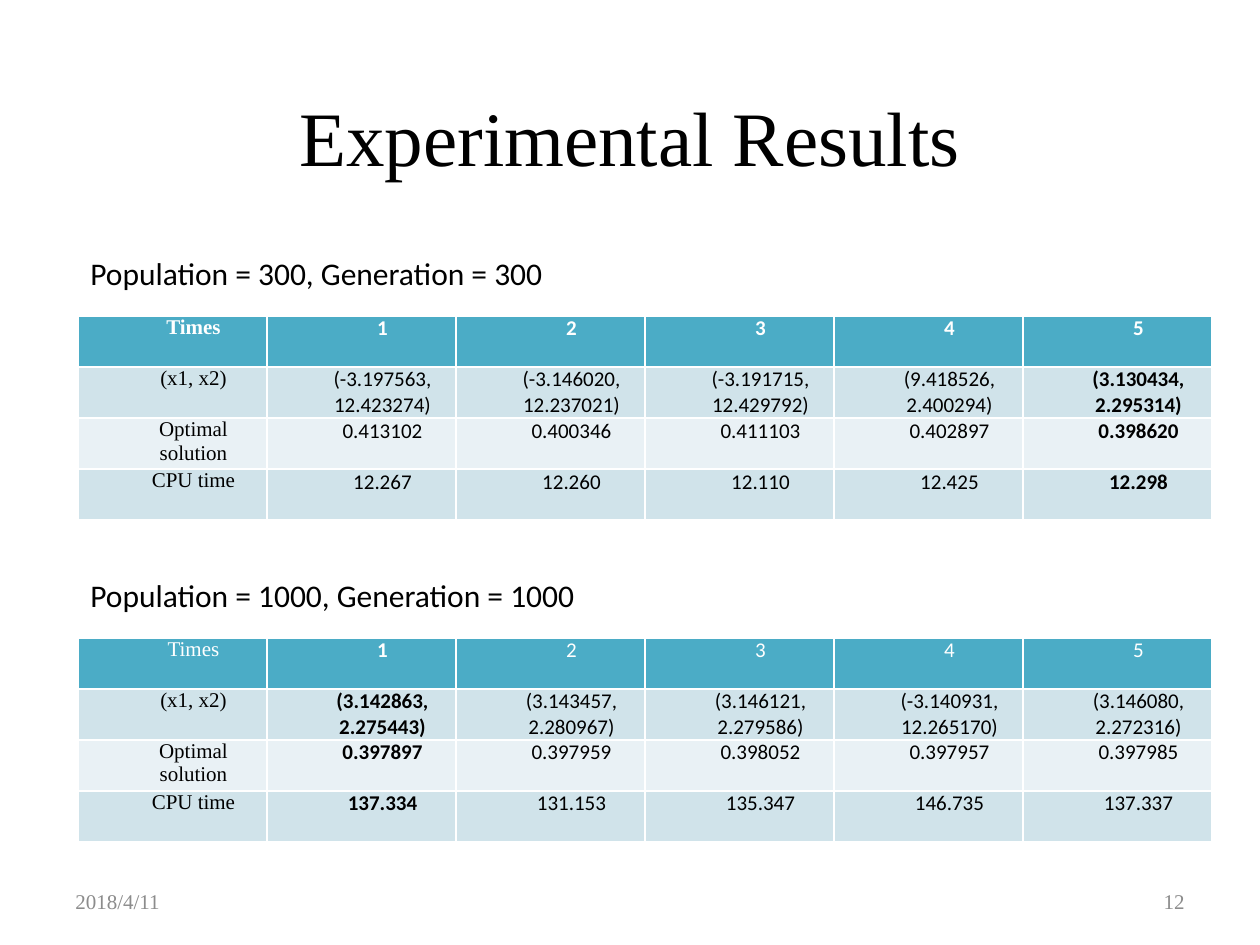
"""Build the Experimental Results slide with two tables of runs."""
from pptx import Presentation
from pptx.dml.color import RGBColor
from pptx.enum.text import MSO_ANCHOR, PP_ALIGN
from pptx.util import Emu, Pt

LEFT, CENTER, RIGHT = PP_ALIGN.LEFT, PP_ALIGN.CENTER, PP_ALIGN.RIGHT
TOP, MIDDLE = MSO_ANCHOR.TOP, MSO_ANCHOR.MIDDLE
SERIF, SANS = "Times New Roman", "Calibri"
COLORS = {
    "text": "000000",
    "footer": "8C8C8C",
    "header_text": "FFFFFF",
    "header": "4BACC6",
    "odd": "D0E3EA",
    "even": "E9F1F5",
}

TITLE = "Experimental Results"
HEADER = ["Times", "1", "2", "3", "4", "5"]
EXPERIMENTS = [
    {
        "caption": "Population = 300, Generation = 300",
        "best": 5,
        "bold_header": True,
        "rows": [
            ["(x1, x2)", "(-3.197563, 12.423274)", "(-3.146020, 12.237021)",
             "(-3.191715, 12.429792)", "(9.418526, 2.400294)", "(3.130434, 2.295314)"],
            ["Optimal solution", "0.413102", "0.400346", "0.411103", "0.402897", "0.398620"],
            ["CPU time", "12.267", "12.260", "12.110", "12.425", "12.298"],
        ],
    },
    {
        "caption": "Population = 1000, Generation = 1000",
        "best": 1,
        "bold_header": False,
        "rows": [
            ["(x1, x2)", "(3.142863, 2.275443)", "(3.143457, 2.280967)",
             "(3.146121, 2.279586)", "(-3.140931, 12.265170)", "(3.146080, 2.272316)"],
            ["Optimal solution", "0.397897", "0.397959", "0.398052", "0.397957", "0.397985"],
            ["CPU time", "137.334", "131.153", "135.347", "146.735", "137.337"],
        ],
    },
]
FOOTERS = [("2018/4/11", 63, LEFT), ("12", 903, RIGHT)]

EMU_PER_PX = 914400 / 126
BLOCK_LEFT, BLOCK_TOP, BLOCK_STEP = 78, 248, 322
CAPTION_TO_TABLE = 68
COLUMN_WIDTH, ROW_HEIGHT = 189, 51
CELL_MARGIN, CELL_INDENT = 9, 42


def px(length):
    return Emu(round(length * EMU_PER_PX))


def style_text(text_frame, font_name, size, color, align, bold=False):
    paragraph = text_frame.paragraphs[0]
    paragraph.alignment = align
    font = paragraph.runs[0].font
    font.name, font.size, font.bold = font_name, Pt(size), bold
    font.color.rgb = RGBColor.from_string(COLORS[color])
    return paragraph


def add_text(slide, text, box, font_name, size, color, align, anchor):
    text_frame = slide.shapes.add_textbox(*map(px, box)).text_frame
    text_frame.word_wrap = True
    text_frame.vertical_anchor = anchor
    text_frame.text = text
    style_text(text_frame, font_name, size, color, align)


def fill_cell(cell, text, font_name, color, background, bold):
    cell.fill.solid()
    cell.fill.fore_color.rgb = RGBColor.from_string(COLORS[background])
    cell.margin_left = cell.margin_right = px(CELL_MARGIN)
    cell.margin_top = cell.margin_bottom = 0
    cell.vertical_anchor = TOP
    cell.text_frame.text = text
    paragraph = style_text(cell.text_frame, font_name, 12, color, CENTER, bold)
    properties = paragraph._p.get_or_add_pPr()
    properties.set("marL", str(px(CELL_INDENT)))
    properties.set("indent", "0")


def add_results_table(slide, experiment, top):
    rows = [HEADER] + experiment["rows"]
    width, height = COLUMN_WIDTH * len(HEADER), ROW_HEIGHT * len(rows)
    frame = slide.shapes.add_table(
        len(rows), len(HEADER), px(BLOCK_LEFT), px(top), px(width), px(height))
    table = frame.table
    for column in table.columns:
        column.width = px(COLUMN_WIDTH)
    for row_index, values in enumerate(rows):
        table.rows[row_index].height = px(ROW_HEIGHT)
        is_header = row_index == 0
        background = "header" if is_header else "odd" if row_index % 2 else "even"
        color = "header_text" if is_header else "text"
        for column_index, value in enumerate(values):
            bold = column_index == experiment["best"] or (
                is_header and experiment["bold_header"])
            font_name = SANS if column_index else SERIF
            fill_cell(table.cell(row_index, column_index), value,
                      font_name, color, background, bold)


def main():
    presentation = Presentation()
    presentation.slide_width, presentation.slide_height = px(1260), px(945)
    slide = presentation.slides.add_slide(presentation.slide_layouts[5])

    title = slide.shapes.title
    title.left, title.top, title.width, title.height = map(px, (63, 57, 1134, 158))
    title.text_frame.text = TITLE
    title.text_frame.vertical_anchor = MIDDLE
    style_text(title.text_frame, SERIF, 44, "text", CENTER)

    for index, experiment in enumerate(EXPERIMENTS):
        top = BLOCK_TOP + index * BLOCK_STEP
        add_results_table(slide, experiment, top + CAPTION_TO_TABLE)
        add_text(slide, experiment["caption"], (BLOCK_LEFT, top, 582, 89),
                 SANS, 18, "text", LEFT, TOP)

    for text, left, align in FOOTERS:
        add_text(slide, text, (left, 876, 294, 50), SERIF, 12, "footer", align, MIDDLE)

    presentation.save("out.pptx")


if __name__ == "__main__":
    main()
